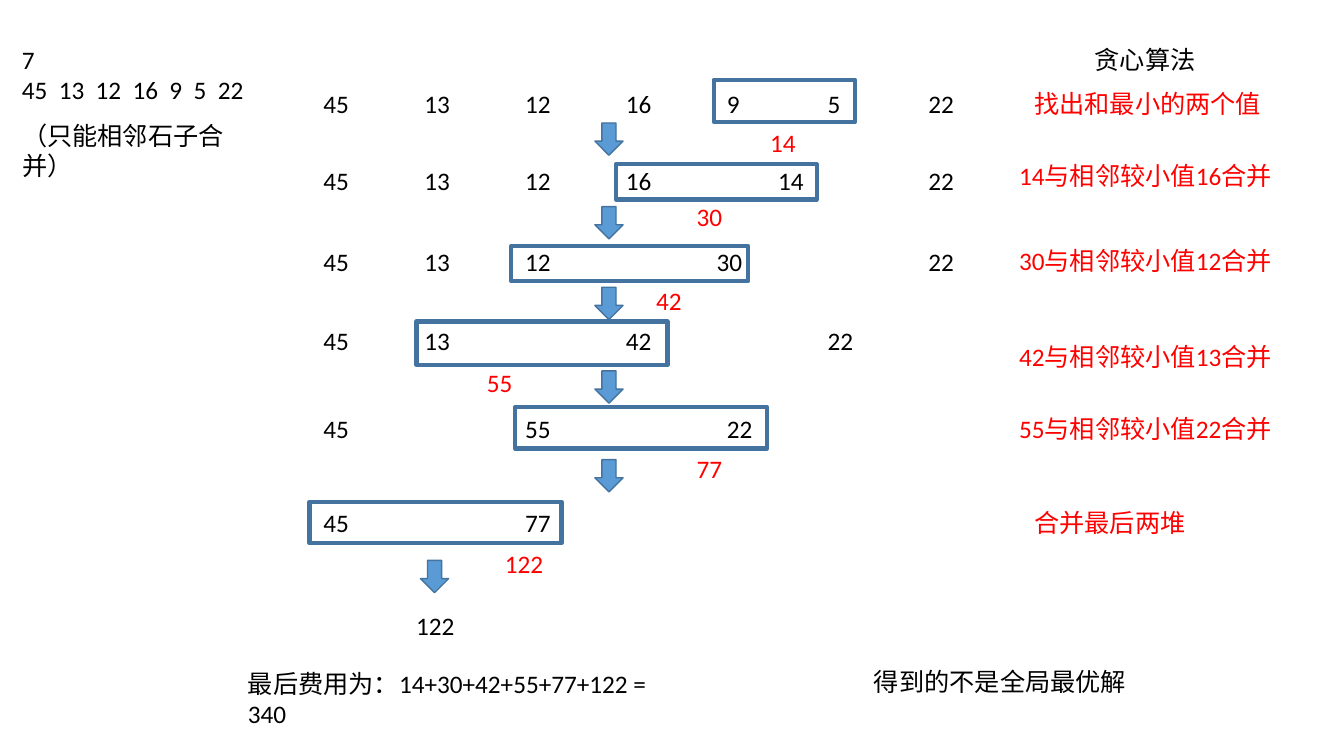
"""Build the greedy stone-merging slide."""
from dataclasses import dataclass

from lxml import etree
from pptx import Presentation
from pptx.dml.color import RGBColor
from pptx.enum.shapes import MSO_SHAPE
from pptx.enum.text import MSO_AUTO_SIZE
from pptx.oxml.ns import qn
from pptx.util import Inches, Pt

RECTANGLE = MSO_SHAPE.RECTANGLE
DOWN_ARROW = MSO_SHAPE.DOWN_ARROW
GROW = MSO_AUTO_SIZE.SHAPE_TO_FIT_TEXT


@dataclass(frozen=True)
class Theme:
    font: str = "Calibri"
    size: int = 18
    ink: str = "000000"
    accent: str = "FF0000"
    outline: str = "43739E"
    arrow: str = "5B9BD5"
    frame_width: float = 3
    arrow_width: float = 1


THEME = Theme()
ROW_LEFT, ROW_WIDTH = 3.11, 7.05
TEXT_HEIGHT = 0.4
ARROW_SIZE = (0.28, 0.32)

STEPS = [
    {"top": 0.83, "stones": [(45, 0), (13, 1), (12, 2), (16, 3), (9, 4), (5, 5), (22, 6)],
     "frame": (7.08, 0.79, 1.4, 0.42), "total": ("14", 7.54, 1.21), "arrow": (5.9, 1.22),
     "note": ("找出和最小的两个值", 10.16, 0.83, 2.93)},
    {"top": 1.59, "stones": [(45, 0), (13, 1), (12, 2), (16, 3), (14, 4.51), (22, 6)],
     "frame": (6.11, 1.63, 1.99, 0.35), "total": ("30", 6.81, 1.95), "arrow": (5.9, 2.05),
     "note": ("14与相邻较小值16合并", 10.01, 1.54, 2.71)},
    {"top": 2.39, "stones": [(45, 0), (13, 1), (12, 2), (30, 3.9), (22, 6)],
     "frame": (5.07, 2.44, 2.35, 0.35), "total": ("42", 6.41, 2.78), "arrow": (5.9, 2.85),
     "note": ("30与相邻较小值12合并", 10.01, 2.38, 3.07)},
    {"top": 3.18, "stones": [(45, 0), (13, 1), (42, 3), (22, 5)],
     "frame": (4.13, 3.19, 2.49, 0.43), "total": ("55", 4.73, 3.59), "arrow": (5.9, 3.68),
     "note": ("42与相邻较小值13合并", 10.01, 3.34, 2.71)},
    {"top": 4.05, "stones": [(45, 0), (55, 2), (22, 4)],
     "frame": (5.11, 4.04, 2.5, 0.41), "total": ("77", 6.81, 4.45), "arrow": (5.9, 4.56),
     "note": ("55与相邻较小值22合并", 10.01, 4.05, 2.71)},
    {"top": 4.98, "stones": [(45, 0), (77, 2)],
     "frame": (3.07, 4.98, 2.5, 0.41), "total": ("122", 4.91, 5.39), "arrow": (4.17, 5.56),
     "note": ("合并最后两堆", 10.16, 4.98, 2)},
]
CAPTIONS = [
    ("7\n45  13  12  16  9  5  22", 0.12, 0.39, 2.47),
    ("（只能相邻石子合并）", 0.12, 1.14, 2.48),
    ("贪心算法", 10.76, 0.39, 1.5),
    ("122", 4.03, 6.01, 0.7),
    ("最后费用为：14+30+42+55+77+122 = 340", 2.36, 6.58, 4.58),
    ("得到的不是全局最优解", 8.57, 6.56, 3),
]


def add_text(page, text, left, top, width, color=THEME.ink):
    lines = text.count("\n") + 1
    box = page.shapes.add_textbox(
        Inches(left), Inches(top), Inches(width), Inches(TEXT_HEIGHT + 0.31 * (lines - 1)))
    frame = box.text_frame
    frame.word_wrap = True
    frame.auto_size = GROW
    frame.text = text
    for para in frame.paragraphs:
        for span in para.runs:
            span.font.name = THEME.font
            span.font.size = Pt(THEME.size)
            span.font.color.rgb = RGBColor.from_string(color)
    return box


def add_stones(page, stones, top):
    text = "\t".join(str(weight) for weight, _ in stones)
    box = add_text(page, text, ROW_LEFT, top, ROW_WIDTH)
    properties = box.text_frame.paragraphs[0]._p.get_or_add_pPr()
    stops = etree.SubElement(properties, qn("a:tabLst"))
    for _, offset in stones[1:]:
        etree.SubElement(stops, qn("a:tab"), pos=str(Inches(offset)), algn="l")


def add_outline(page, kind, bounds, line_width, fill=None):
    shape = page.shapes.add_shape(kind, *map(Inches, bounds))
    shape.shadow.inherit = False
    shape.line.color.rgb = RGBColor.from_string(THEME.outline)
    shape.line.width = Pt(line_width)
    if fill:
        shape.fill.solid()
        shape.fill.fore_color.rgb = RGBColor.from_string(fill)
    else:
        shape.fill.background()


deck = Presentation()
deck.slide_width, deck.slide_height = Inches(13.33), Inches(7.5)
page = deck.slides.add_slide(deck.slide_layouts[6])

for caption in CAPTIONS:
    add_text(page, *caption)

for step in STEPS:
    add_stones(page, step["stones"], step["top"])
    add_outline(page, RECTANGLE, step["frame"], THEME.frame_width)
    add_outline(page, DOWN_ARROW, step["arrow"] + ARROW_SIZE, THEME.arrow_width, THEME.arrow)
    add_text(page, *step["total"], 0.33 + 0.13 * len(step["total"][0]), THEME.accent)
    add_text(page, *step["note"], THEME.accent)

deck.save("out.pptx")
